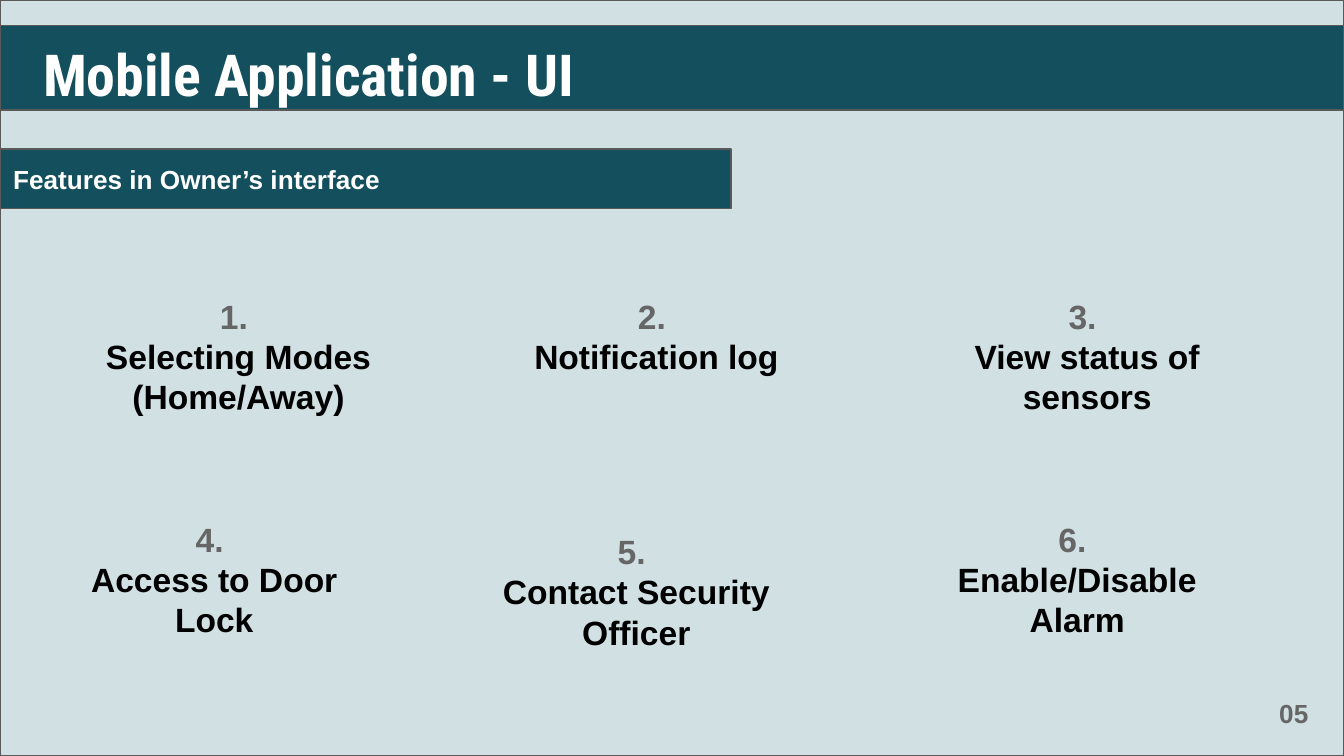
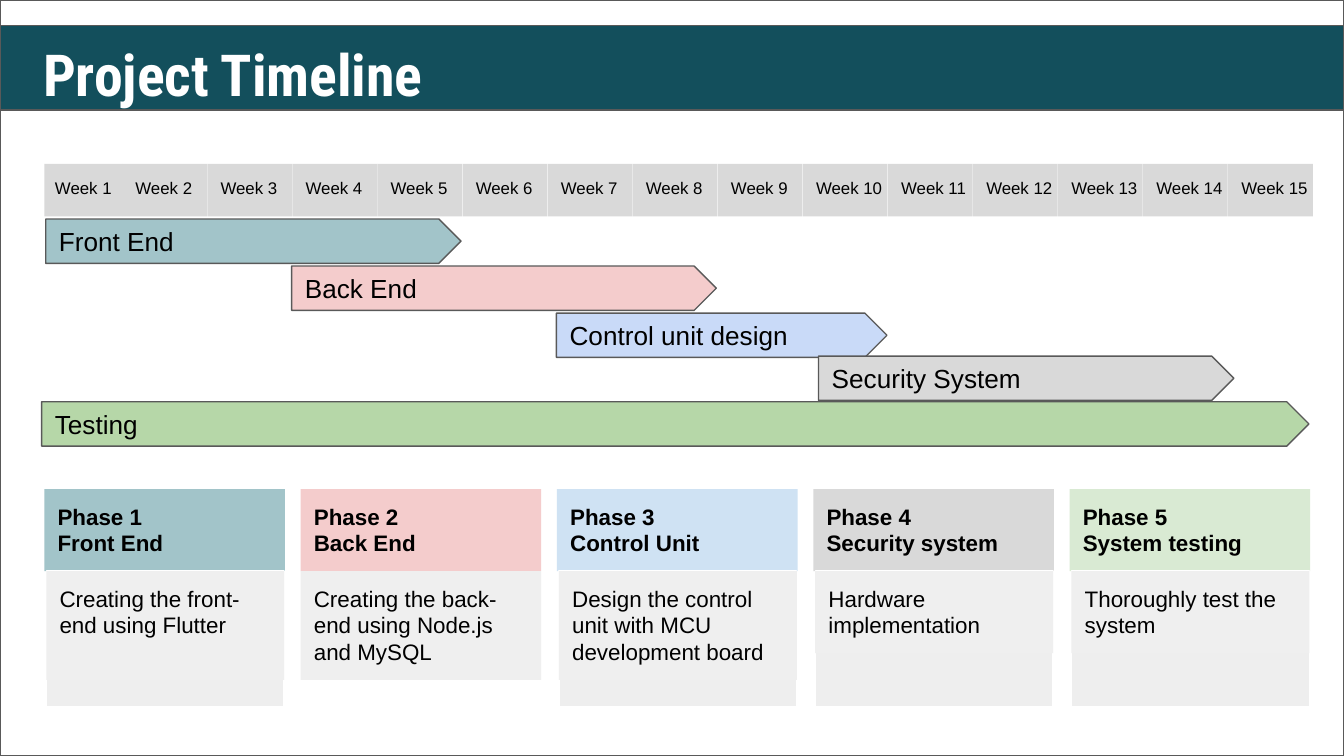
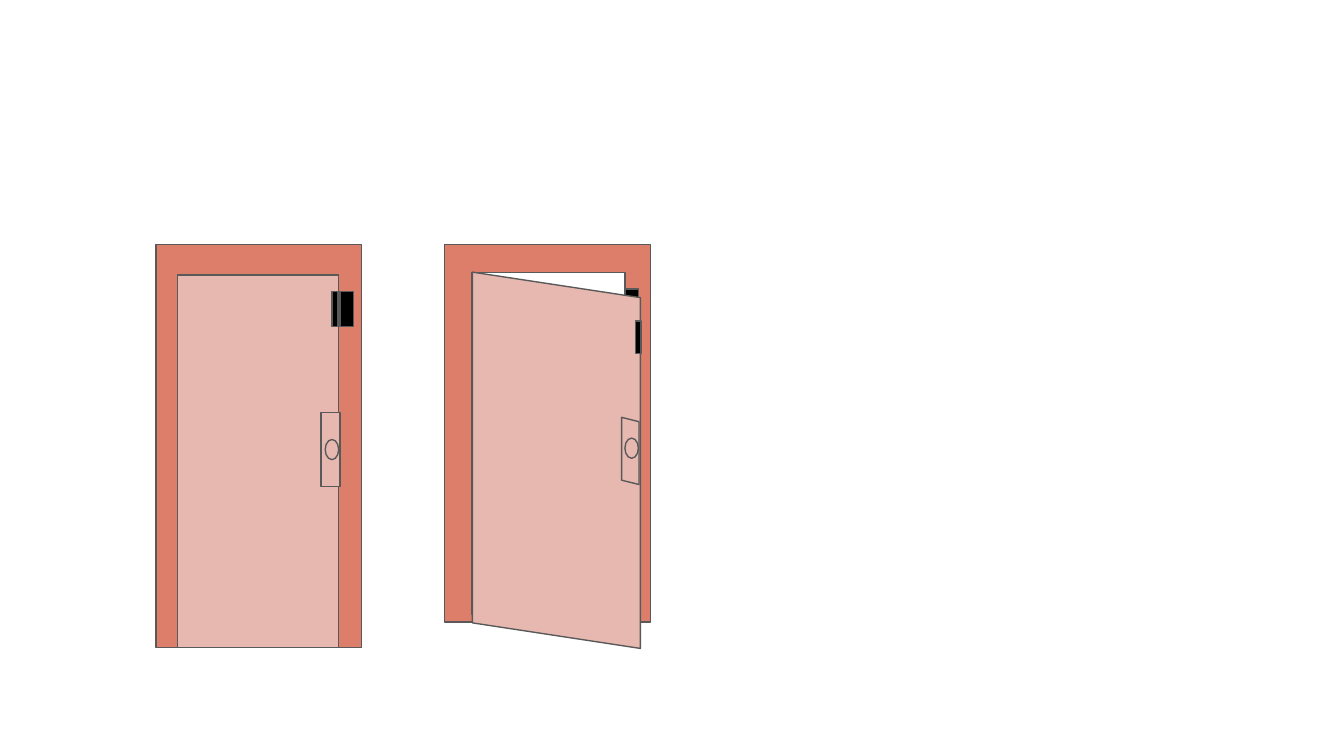
from pptx import Presentation
from pptx.dml.color import RGBColor
from pptx.enum.shapes import MSO_SHAPE
from pptx.enum.text import MSO_ANCHOR, PP_ALIGN
from pptx.util import Inches, Pt

# Grid: the slide is 100 columns wide and 56.25 rows high
UNIT = Inches(0.1)
COLUMNS, ROWS = 100, 56.25

TEAL, OUTLINE, GREY = "134F5C", "595959", "666666"
BLACK, WHITE = "000000", "FFFFFF"
FRAME, DOOR = "DD7E6B", "E6B8AF"
TITLE_ONLY, BLANK = 5, 6

TITLE = {"name": "Roboto Condensed", "size": Pt(31), "bold": True, "color": WHITE}
BANNER = {"name": "Arial", "size": Pt(14), "bold": True, "color": WHITE}
FEATURE = {"name": "Arial", "size": Pt(18), "bold": True, "color": BLACK}
FEATURE_NUMBER = {**FEATURE, "color": GREY}
PAGE_NUMBER = {**BANNER, "color": GREY}
TASK = {"name": "Arial", "size": Pt(14), "color": BLACK}
PHASE_BODY = {"name": "Arial", "size": Pt(12), "color": BLACK}
PHASE_HEAD = {**PHASE_BODY, "bold": True}
WEEK = {"name": "Arial", "size": Pt(9), "color": BLACK}

FEATURES = [
    (4.4, 21, 26.7, ["Selecting Modes", "(Home/Away)"]),
    (37.6, 21, 22.5, ["Notification log"]),
    (66.6, 21, 28.6, ["View status of sensors"]),
    (3.1, 37.6, 25.7, ["Access to Door Lock"]),
    (34.5, 38.5, 25.7, ["Contact Security Officer"]),
    (67.3, 37.6, 25.7, ["Enable/Disable", "Alarm"]),
]
TASKS = [
    ("Front End", 3.4, 16.3, 30.9, "A2C4C9"),
    ("Back End", 21.7, 19.8, 31.6, "F4CCCC"),
    ("Control unit design", 41.4, 23.3, 24.6, "C9DAF8"),
    ("Security System", 60.9, 26.5, 30.9, "D9D9D9"),
    ("Testing", 3.1, 29.9, 94.3, "B6D7A8"),
]
# Name, colour, description, rows of the description, whether a panel lies behind
PHASES = [
    ("Front End", "A2C4C9", "Creating the front-end using Flutter", 8.1, True),
    ("Back End", "F4CCCC", "Creating the back-end using Node.js and MySQL", 8.1, False),
    ("Control Unit", "CFE2F3", "Design the control unit with MCU development board", 8.1, True),
    ("Security system", "D9D9D9", "Hardware implementation", 6.1, True),
    ("System testing", "D9EAD3", "Thoroughly test the system", 6.1, True),
]


def rgb(color):
    return RGBColor.from_string(color)


def grid(*cells):
    return [round(cell * UNIT) for cell in cells]


def write(shape, lines, align=PP_ALIGN.LEFT, anchor=MSO_ANCHOR.TOP, sides=(1, 1)):
    """Fill a shape with (text, style) lines; sides are the left and right insets."""
    frame = shape.text_frame
    left, right = grid(*sides)
    settings = {"word_wrap": True, "vertical_anchor": anchor, "margin_left": left,
                "margin_right": right, "margin_top": UNIT, "margin_bottom": UNIT}
    for name, value in settings.items():
        setattr(frame, name, value)
    for index, (text, style) in enumerate(lines):
        paragraph = frame.paragraphs[0] if index == 0 else frame.add_paragraph()
        paragraph.alignment = align
        run = paragraph.add_run()
        run.text = text
        for name, value in style.items():
            if name == "color":
                run.font.color.rgb = rgb(value)
            else:
                setattr(run.font, name, value)


def add_text(slide, at, lines, **layout):
    write(slide.shapes.add_textbox(*grid(*at)), lines, **layout)


def add_block(shapes, at, fill=None, line=OUTLINE, kind=MSO_SHAPE.RECTANGLE,
              adjustment=None, rotation=0):
    shape = shapes.add_shape(kind, *grid(*at))
    shape.shadow.inherit = False
    shape.rotation = rotation
    if adjustment is not None:
        shape.adjustments[0] = adjustment
    if fill:
        shape.fill.solid()
        shape.fill.fore_color.rgb = rgb(fill)
    else:
        shape.fill.background()
    if line:
        shape.line.color.rgb = rgb(line)
        shape.line.width = Pt(0.75)
    else:
        shape.line.fill.background()
    return shape


def add_titled_slide(presentation, title, background=None):
    """Outlined page with the teal band and the title on it."""
    slide = presentation.slides.add_slide(presentation.slide_layouts[TITLE_ONLY])
    add_block(slide.shapes, (0, 0, COLUMNS, ROWS), background)
    add_block(slide.shapes, (0, 1.9, COLUMNS, 6.3), TEAL)
    heading = slide.shapes.title
    heading.left, heading.top, heading.width, heading.height = grid(0.3, 1.9, 91.5, 7.2)
    write(heading, [(title, TITLE)])
    heading.text_frame.paragraphs[0]._p.get_or_add_pPr().set("indent", str(Inches(0.19)))
    # Bring the title in front of the band
    slide.shapes._spTree.append(heading._element)
    return slide


def add_features_slide(presentation):
    slide = add_titled_slide(presentation, "Mobile Application - UI", "D0E0E3")
    banner = add_block(slide.shapes, (0, 11.1, 54.4, 4.4), TEAL)
    write(banner, [("Features in Owner’s interface", BANNER)], anchor=MSO_ANCHOR.MIDDLE)
    for number, (left, top, width, texts) in enumerate(FEATURES, 1):
        lines = [(f"{number}. ", FEATURE_NUMBER)] + [(text, FEATURE) for text in texts]
        add_text(slide, (left, top, width, 11.1), lines, align=PP_ALIGN.CENTER)
    add_text(slide, (94.2, 50.9, 4.3, 4.4), [("05", PAGE_NUMBER)])


def add_phase(slide, number, name, color, description, rows, has_panel):
    left = 3.3 + 19.07 * (number - 1)
    head = add_block(slide.shapes, (left, 36.4, 17.9, 6.1), color, None)
    write(head, [(f"Phase {number}", PHASE_HEAD), (name, PHASE_HEAD)])
    if has_panel:
        add_block(slide.shapes, (left + 0.15, 42.5, 17.7, 10.1), "EEEEEE", WHITE)
        body_at = (left + 0.15, 42.5, 17.7, rows)
    else:
        body_at = (left, 42.5, 17.9, rows)
    write(add_block(slide.shapes, body_at, "EFEFEF", None), [(description, PHASE_BODY)])


def add_week(slide, number):
    if number == 1:
        left, width = 3.3, 5.8
        layout = {"align": PP_ALIGN.CENTER, "sides": (0, 0)}
    else:
        left, width = 9.1 + 6.33 * (number - 2), 6.3
        layout = {"sides": (1, 0 if number > 9 else 1)}
    cell = add_block(slide.shapes, (left, 12.2, width, 3.9), "D9D9D9", None)
    write(cell, [(f"Week {number}", WEEK)], **layout)


def add_timeline_slide(presentation):
    slide = add_titled_slide(presentation, "Project Timeline")
    for name, left, top, width, color in TASKS:
        arrow = add_block(slide.shapes, (left, top, width, 3.3), color,
                          kind=MSO_SHAPE.PENTAGON, adjustment=0.5)
        write(arrow, [(name, TASK)], anchor=MSO_ANCHOR.MIDDLE)
    for number, phase in enumerate(PHASES, 1):
        add_phase(slide, number, *phase)
    for number in range(1, 16):
        add_week(slide, number)


def add_doors_slide(presentation):
    slide = presentation.slides.add_slide(presentation.slide_layouts[BLANK])
    # Closed door: frame, leaf, lock plate, knob and the two sensor halves
    closed = slide.shapes.add_group_shape().shapes
    add_block(closed, (11.6, 18.2, 15.3, 30), FRAME)
    add_block(closed, (13.2, 20.45, 12, 27.75), DOOR)
    add_block(closed, (23.9, 30.7, 1.4, 5.5), DOOR)
    add_block(closed, (24.2, 32.7, 1, 1.5), DOOR, kind=MSO_SHAPE.OVAL)
    add_block(closed, (24.7, 21.7, 0.4, 2.6), BLACK)
    add_block(closed, (25.3, 21.7, 1, 2.6), BLACK)
    # Open door: frame, sensor, opening, swung leaf, magnet, lock plate and knob
    opened = slide.shapes
    add_block(opened, (33.1, 18.2, 15.3, 28.1), FRAME)
    add_block(opened, (46.5, 21.5, 1, 2.4), BLACK)
    add_block(opened, (35.1, 20.3, 11.4, 25.4), WHITE)
    add_block(opened, (27.4, 28, 28, 12.5), DOOR, kind=MSO_SHAPE.PARALLELOGRAM,
              adjustment=0.152, rotation=90)
    add_block(opened, (47.3, 23.9, 0.4, 2.4), BLACK)
    add_block(opened, (44.4, 32.9, 5, 1.3), DOOR, kind=MSO_SHAPE.PARALLELOGRAM,
              adjustment=0.25, rotation=270)
    add_block(opened, (46.5, 32.6, 1, 1.5), DOOR, kind=MSO_SHAPE.OVAL)


def main():
    presentation = Presentation()
    presentation.slide_width, presentation.slide_height = grid(COLUMNS, ROWS)
    add_features_slide(presentation)
    add_timeline_slide(presentation)
    add_doors_slide(presentation)
    presentation.save("out.pptx")


if __name__ == "__main__":
    main()
